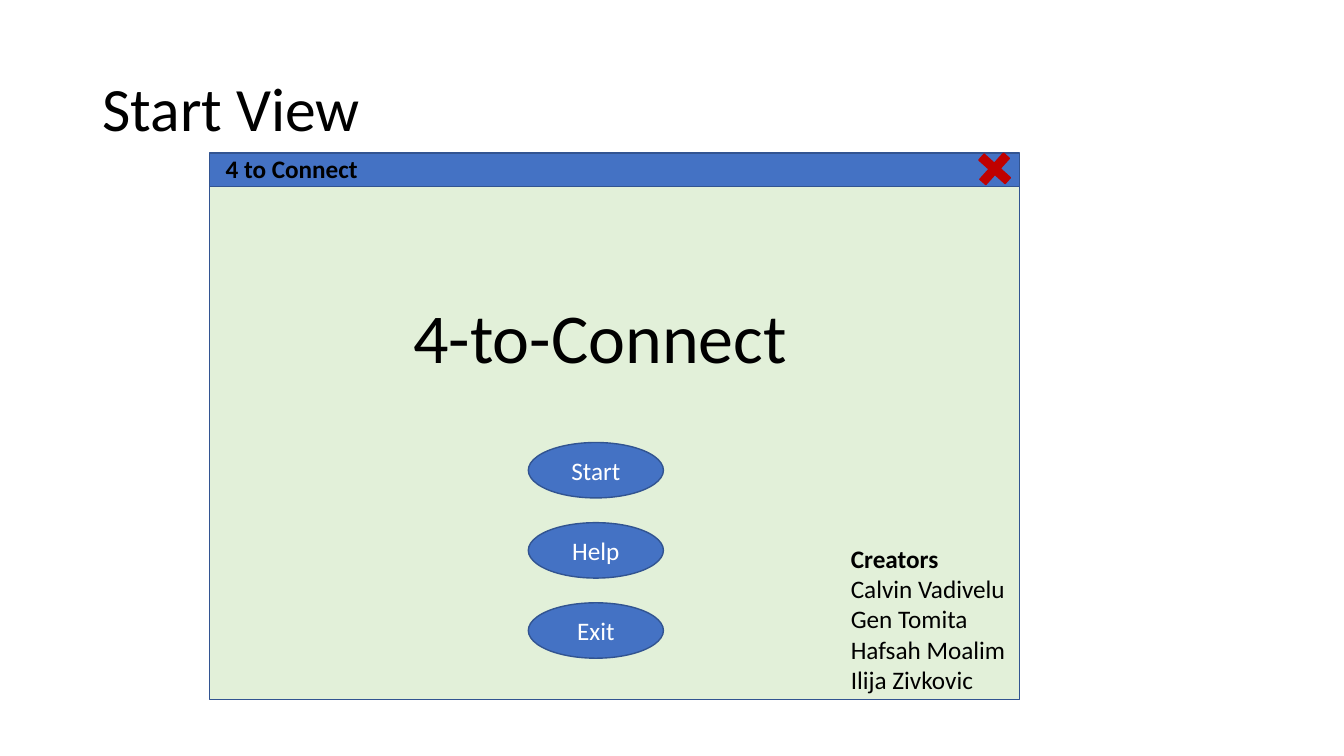
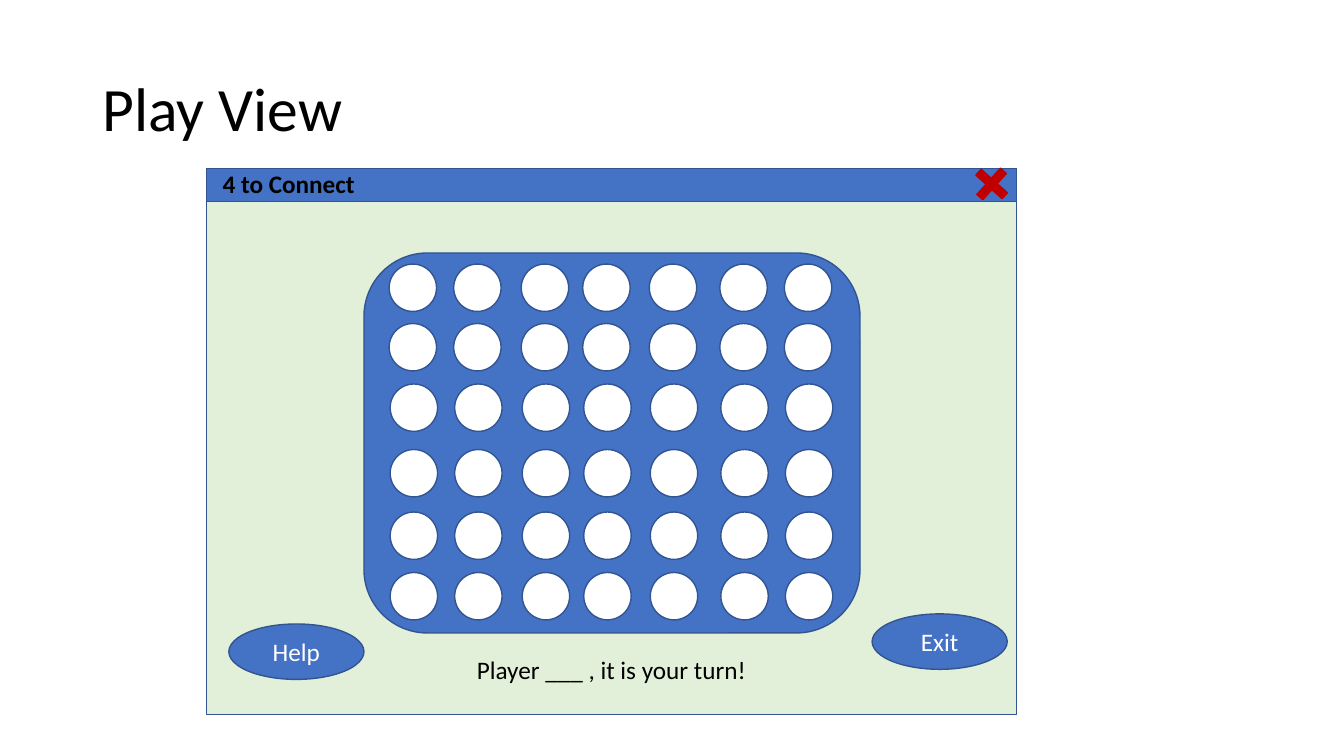
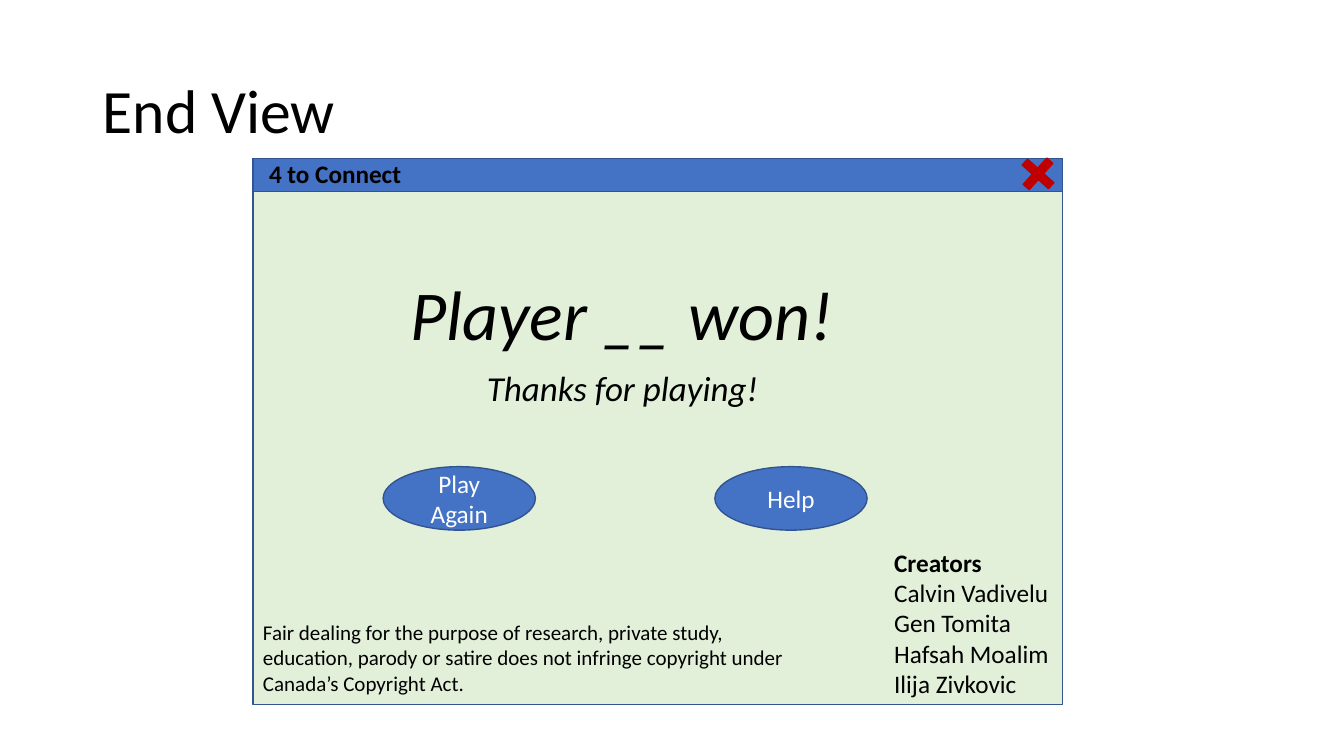
from dataclasses import dataclass

from pptx import Presentation
from pptx.dml.color import RGBColor
from pptx.enum.shapes import MSO_SHAPE
from pptx.enum.text import MSO_ANCHOR, MSO_AUTO_SIZE, PP_ALIGN
from pptx.shapes.autoshape import Shape
from pptx.slide import Slide
from pptx.util import Inches, Pt

RECT, ROUNDED = MSO_SHAPE.RECTANGLE, MSO_SHAPE.ROUNDED_RECTANGLE
OVAL, CROSS = MSO_SHAPE.OVAL, MSO_SHAPE.CROSS
TOP, MIDDLE = MSO_ANCHOR.TOP, MSO_ANCHOR.MIDDLE
LEFT, CENTER = PP_ALIGN.LEFT, PP_ALIGN.CENTER
GROW, FIXED = MSO_AUTO_SIZE.SHAPE_TO_FIT_TEXT, MSO_AUTO_SIZE.NONE

# Shared style
FONT = "Calibri"
BLACK, WHITE = "000000", "FFFFFF"
BLUE, OUTLINE = "4472C4", "325491"
PALE_GREEN, RED = "E2F0D9", "C00000"

# Game board: hole positions, the lower rows sit slightly to the right
HOLE_SIZE = 0.47
HOLE_COLUMNS = (3.86, 4.5, 5.17, 5.78, 6.44, 7.14, 7.78)
HOLE_ROWS = (2.62, 3.21, 3.81, 4.46, 5.08, 5.68)
UPPER_ROWS, LOWER_SHIFT = 2, 0.01

CREATORS = ("Calvin Vadivelu", "Gen Tomita", "Hafsah Moalim", "Ilija Zivkovic")


@dataclass(frozen=True)
class Box:
    left: float
    top: float
    width: float
    height: float


@dataclass(frozen=True)
class Line:
    text: str
    size: float = 18
    color: str = BLACK
    bold: bool = False
    italic: bool = False


@dataclass(frozen=True)
class Button:
    label: str
    left: float
    top: float
    width: float = 1.34
    height: float = 0.55


def rgb(color: str) -> RGBColor:
    return RGBColor.from_string(color)


def write(shape: Shape, lines: list[Line], align: PP_ALIGN = LEFT,
          spacing: float = 1.0) -> None:
    frame = shape.text_frame
    frame.word_wrap = True
    for index, line in enumerate(lines):
        paragraph = frame.add_paragraph() if index else frame.paragraphs[0]
        paragraph.alignment = align
        paragraph.line_spacing = spacing
        run = paragraph.add_run()
        run.text = line.text
        run.font.name = FONT
        run.font.size = Pt(line.size)
        run.font.bold = line.bold
        run.font.italic = line.italic
        run.font.color.rgb = rgb(line.color)


def add_text(slide: Slide, box: Box, lines: list[Line], align: PP_ALIGN = LEFT,
             anchor: MSO_ANCHOR = TOP, fit: MSO_AUTO_SIZE = GROW,
             spacing: float = 1.0) -> None:
    label = slide.shapes.add_textbox(Inches(box.left), Inches(box.top),
                                     Inches(box.width), Inches(box.height))
    write(label, lines, align, spacing)
    label.text_frame.vertical_anchor = anchor
    label.text_frame.auto_size = fit


def add_figure(slide: Slide, kind: MSO_SHAPE, box: Box, fill: str,
               outline: str = OUTLINE) -> Shape:
    figure = slide.shapes.add_shape(kind, Inches(box.left), Inches(box.top),
                                    Inches(box.width), Inches(box.height))
    figure.shadow.inherit = False
    figure.fill.solid()
    figure.fill.fore_color.rgb = rgb(fill)
    figure.line.color.rgb = rgb(outline)
    figure.line.width = Pt(1)
    return figure


def add_button(slide: Slide, button: Button) -> None:
    box = Box(button.left, button.top, button.width, button.height)
    oval = add_figure(slide, OVAL, box, BLUE)
    write(oval, [Line(button.label, color=WHITE)], CENTER)
    oval.text_frame.vertical_anchor = MIDDLE


def add_view(deck: Presentation, title: str, left: float, top: float,
             title_top: float = 0.38) -> Slide:
    """Add a slide with its title and an empty game window."""
    slide = deck.slides.add_slide(deck.slide_layouts[6])
    add_text(slide, Box(0.92, title_top, 11.5, 1.45), [Line(title, 44)],
             anchor=MIDDLE, fit=FIXED, spacing=0.9)
    add_figure(slide, RECT, Box(left, top, 8.03, 5.42), PALE_GREEN)
    add_figure(slide, RECT, Box(left, top, 8.03, 0.33), BLUE)
    add_text(slide, Box(left + 0.06, top - 0.05, 1.86, 0.4),
             [Line("4 to Connect", bold=True)])
    close = add_figure(slide, CROSS, Box(left + 7.61, top - 0.02, 0.35, 0.35),
                       RED, RED)
    close.adjustments[0] = 0.387
    close.rotation = 311.9
    return slide


def add_creators(slide: Slide, left: float, top: float) -> None:
    add_text(slide, Box(left, top, 2.37, 1.62),
             [Line("Creators", bold=True), *map(Line, CREATORS)])


def add_board(slide: Slide) -> None:
    add_figure(slide, ROUNDED, Box(3.61, 2.51, 4.92, 3.77), BLUE)
    for row, top in enumerate(HOLE_ROWS):
        shift = 0 if row < UPPER_ROWS else LOWER_SHIFT
        for left in HOLE_COLUMNS:
            add_figure(slide, OVAL,
                       Box(left + shift, top, HOLE_SIZE, HOLE_SIZE), WHITE)


def build_start(deck: Presentation) -> None:
    slide = add_view(deck, "Start View", 2.08, 1.52)
    add_text(slide, Box(4, 2.86, 4.83, 0.94), [Line("4-to-Connect", 50)])
    for index, label in enumerate(("Start", "Help", "Exit")):
        add_button(slide, Button(label, 5.24, 4.39 + index * 0.795))
    add_creators(slide, 8.34, 5.34)


def build_play(deck: Presentation) -> None:
    slide = add_view(deck, "Play View", 2.05, 1.67)
    add_board(slide)
    add_text(slide, Box(2.7, 6.44, 6.73, 0.4),
             [Line("Player ___ , it is your turn!")], CENTER)
    add_button(slide, Button("Help", 2.27, 6.19))
    add_button(slide, Button("Exit", 8.65, 6.09))


def build_end(deck: Presentation) -> None:
    slide = add_view(deck, "End View", 2.51, 1.57, title_top=0.4)
    add_text(slide, Box(3.97, 2.63, 5.76, 0.94),
             [Line("Player __ won!", 50, italic=True)])
    add_text(slide, Box(4.73, 3.59, 5.76, 0.52),
             [Line("Thanks for playing!", 25, italic=True)])
    for label, left in (("Play Again", 3.8), ("Help", 7.09)):
        add_button(slide, Button(label, left, 4.63, 1.51, 0.63))
    add_creators(slide, 8.77, 5.38)
    add_text(slide, Box(2.51, 6.1, 5.59, 0.86), [Line(
        "Fair dealing for the purpose of research, private study, education, "
        "parody or satire does not infringe copyright under "
        "Canada’s Copyright Act.", 15)])


# Assemble the presentation
deck = Presentation()
deck.slide_width, deck.slide_height = Inches(13.33), Inches(7.5)
build_start(deck)
build_play(deck)
build_end(deck)
deck.save("out.pptx")
